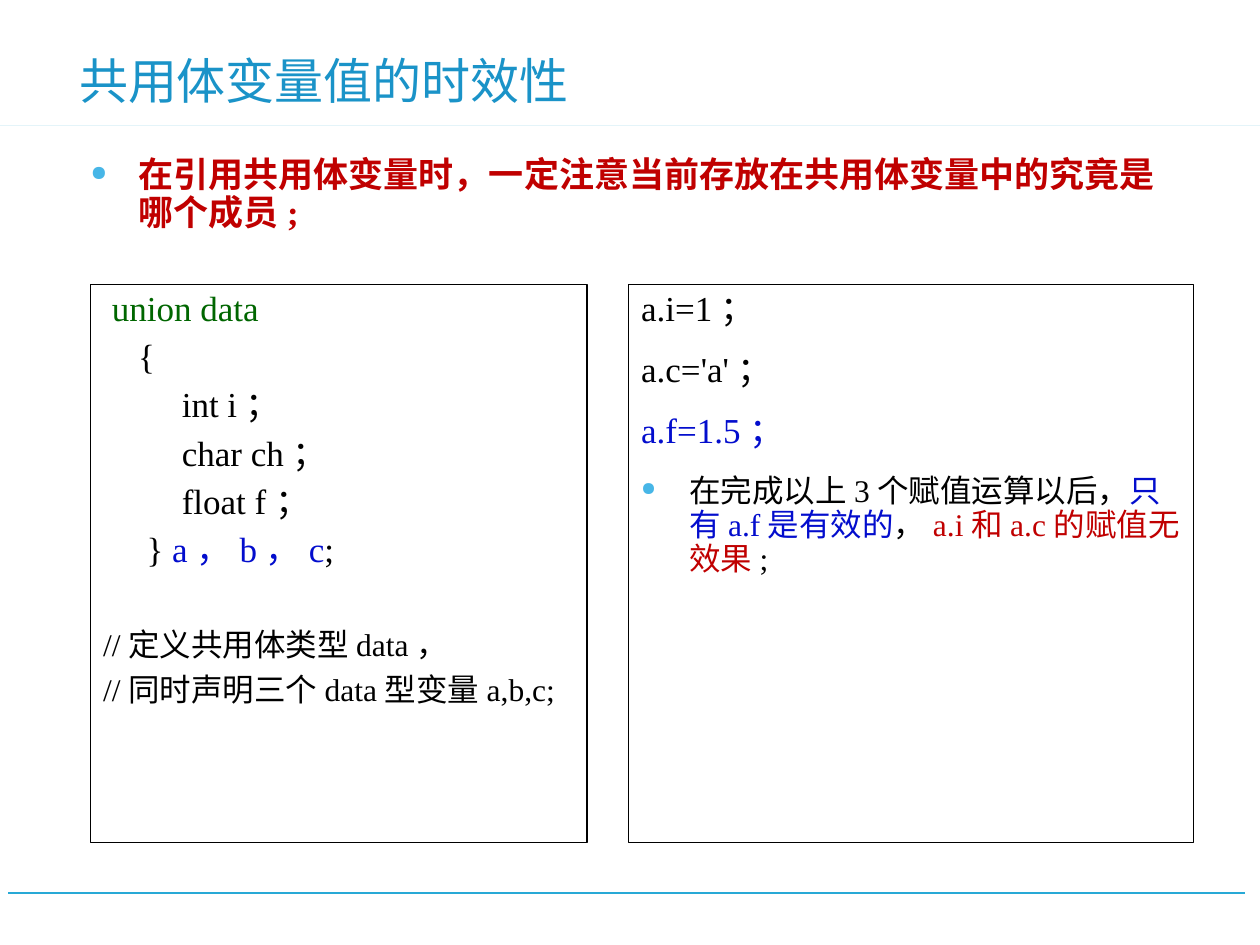
from lxml import etree
from pptx import Presentation
from pptx.dml.color import RGBColor
from pptx.enum.shapes import MSO_CONNECTOR, MSO_SHAPE
from pptx.enum.text import MSO_ANCHOR, PP_ALIGN
from pptx.oxml.ns import qn
from pptx.util import Inches, Pt

STRAIGHT, RECTANGLE = MSO_CONNECTOR.STRAIGHT, MSO_SHAPE.RECTANGLE
TOP, BOTTOM, LEFT = MSO_ANCHOR.TOP, MSO_ANCHOR.BOTTOM, PP_ALIGN.LEFT

COLORS = {"theme": "28A9D6", "title": "1A93C8", "bullet": "47B6E7", "black": "000000",
          "green": "006600", "blue": "030DCD", "red": "C00000"}
FONT = "Times New Roman"
WIDTH, HEIGHT = 10, 7.5
INDENT = 0.38
PANEL_TOP, PANEL_HEIGHT = 2.26, 4.43

TITLE = [{"spans": [("共用体变量值的时效性", "title")], "size": 28}]
LEAD = [{"spans": [("在引用共用体变量时，一定注意当前存放在共用体变量中的究竟是哪个成员;", "red")],
         "bold": True, "bullet": True}]
DEFINITION = [
    {"spans": [(" ", "black"), ("union data", "green")]},
    {"spans": [("    {", "black")]},
    {"spans": [("         int i；", "black")]},
    {"spans": [("         char ch；", "black")]},
    {"spans": [("         float f；", "black")]},
    {"spans": [("\u3000} ".replace("\u3000", "　"), "black"), ("a，b，c", "blue"), (";", "black")]},
    {"spans": [("//定义共用体类型data，", "black")], "size": 18, "before": 34},
    {"spans": [("//同时声明三个data型变量a,b,c;", "black")], "size": 18},
]
ASSIGNMENTS = [
    {"spans": [("a.i=1；", "black")]},
    {"spans": [("a.c='a'；", "black")]},
    {"spans": [("a.f=1.5；", "blue")]},
    {"spans": [("在完成以上3个赋值运算以后，", "black"), ("只有a.f是有效的", "blue"),
               ("，", "black"), ("a.i和a.c的赋值无效果", "red"), (";", "black")],
     "size": 18, "bullet": True},
]
TEXT_BOXES = [
    ((0.53, 0.28, 8.85, 0.64), TITLE, BOTTOM),
    ((0.62, 1.2, 8.85, 0.78), LEAD, TOP),
]
PANELS = [(0.72, 3.94, DEFINITION, 6), (4.99, 4.48, ASSIGNMENTS, 13.5)]
ORNAMENT = [(0.41, 0.46), (0.41, 0.92), (1.4, 0.92), (10.09, 0.94), (0.39, 0.94),
            (0.39, 0.48), (0.36, 0.48), (0.36, 0.94), (0.27, 0.94), (0.27, 0.46),
            (0.3, 0.46), (0.3, 0.91), (0.33, 0.91), (0.33, 0.46)]


def color(name):
    return RGBColor.from_string(COLORS[name])


def apply(target, values):
    for name, value in values.items():
        setattr(target, name, value)


def add_bullet(para):
    properties = para._p.get_or_add_pPr()
    properties.set("marL", str(Inches(INDENT)))
    properties.set("indent", str(-Inches(INDENT)))
    tint = etree.SubElement(properties, qn("a:buClr"))
    etree.SubElement(tint, qn("a:srgbClr"), val=COLORS["bullet"])
    etree.SubElement(properties, qn("a:buSzPct"), val="60000")
    etree.SubElement(properties, qn("a:buChar"), char="●")


def write_text(box, paragraphs, anchor, gap=0):
    frame = box.text_frame
    apply(frame, {"word_wrap": True, "vertical_anchor": anchor})
    for index, content in enumerate(paragraphs):
        para = frame.add_paragraph() if index else frame.paragraphs[0]
        before = content.get("before", gap) if index else 0
        apply(para, {"alignment": LEFT, "line_spacing": 0.9, "space_before": Pt(before)})
        if content.get("bullet"):
            add_bullet(para)
        for text, tint in content["spans"]:
            span = para.add_run()
            span.text = text
            apply(span.font, {"name": FONT, "size": Pt(content.get("size", 20)),
                              "bold": content.get("bold", False)})
            span.font.color.rgb = color(tint)


def add_ornament(slide):
    start, *rest = ORNAMENT
    builder = slide.shapes.build_freeform(*start, scale=Inches(1))
    builder.add_line_segments(rest, close=True)
    shape = builder.convert_to_shape()
    shape.shadow.inherit = False
    shape.fill.solid()
    shape.fill.fore_color.rgb = color("theme")
    shape.line.fill.background()


def add_footer_line(slide):
    ends = (9.88, 7.09, 0.06, 7.09)
    line = slide.shapes.add_connector(STRAIGHT, *map(Inches, ends))
    line.line.color.rgb = color("theme")
    line.line.width = Pt(1.25)
    etree.SubElement(line._element.spPr, qn("a:effectLst"))


def add_panel(slide, left, width, paragraphs, gap):
    area = (left, PANEL_TOP, width, PANEL_HEIGHT)
    panel = slide.shapes.add_shape(RECTANGLE, *map(Inches, area))
    panel.shadow.inherit = False
    panel.fill.background()
    panel.line.color.rgb = color("black")
    panel.line.width = Pt(0.75)
    write_text(panel, paragraphs, TOP, gap)


def main():
    """Build the slide on how long the value of a union variable stays valid."""
    deck = Presentation()
    apply(deck, {"slide_width": Inches(WIDTH), "slide_height": Inches(HEIGHT)})
    slide = deck.slides.add_slide(deck.slide_layouts[6])
    add_footer_line(slide)
    add_ornament(slide)
    for area, paragraphs, anchor in TEXT_BOXES:
        write_text(slide.shapes.add_textbox(*map(Inches, area)), paragraphs, anchor)
    for panel in PANELS:
        add_panel(slide, *panel)
    deck.save("out.pptx")


if __name__ == "__main__":
    main()
